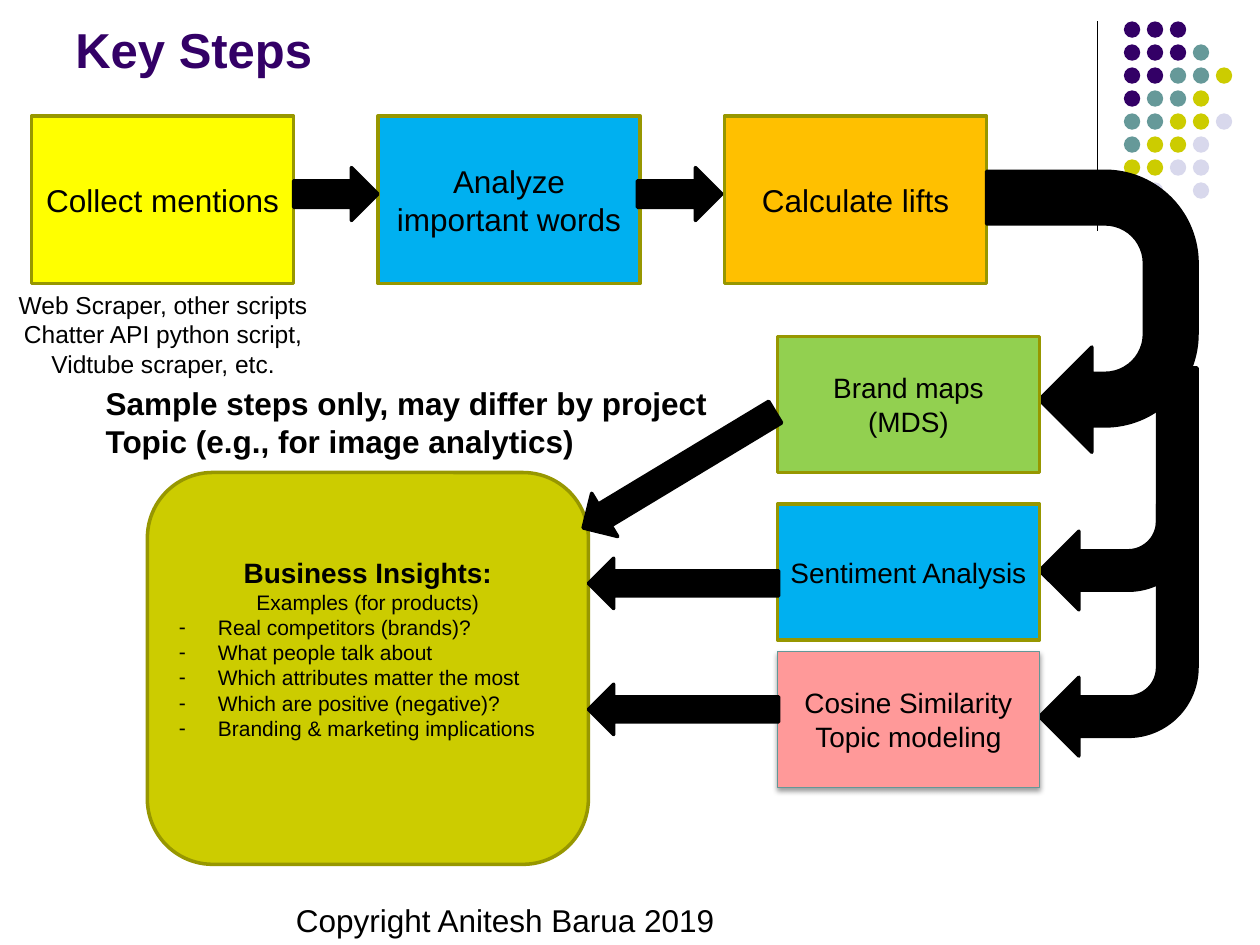
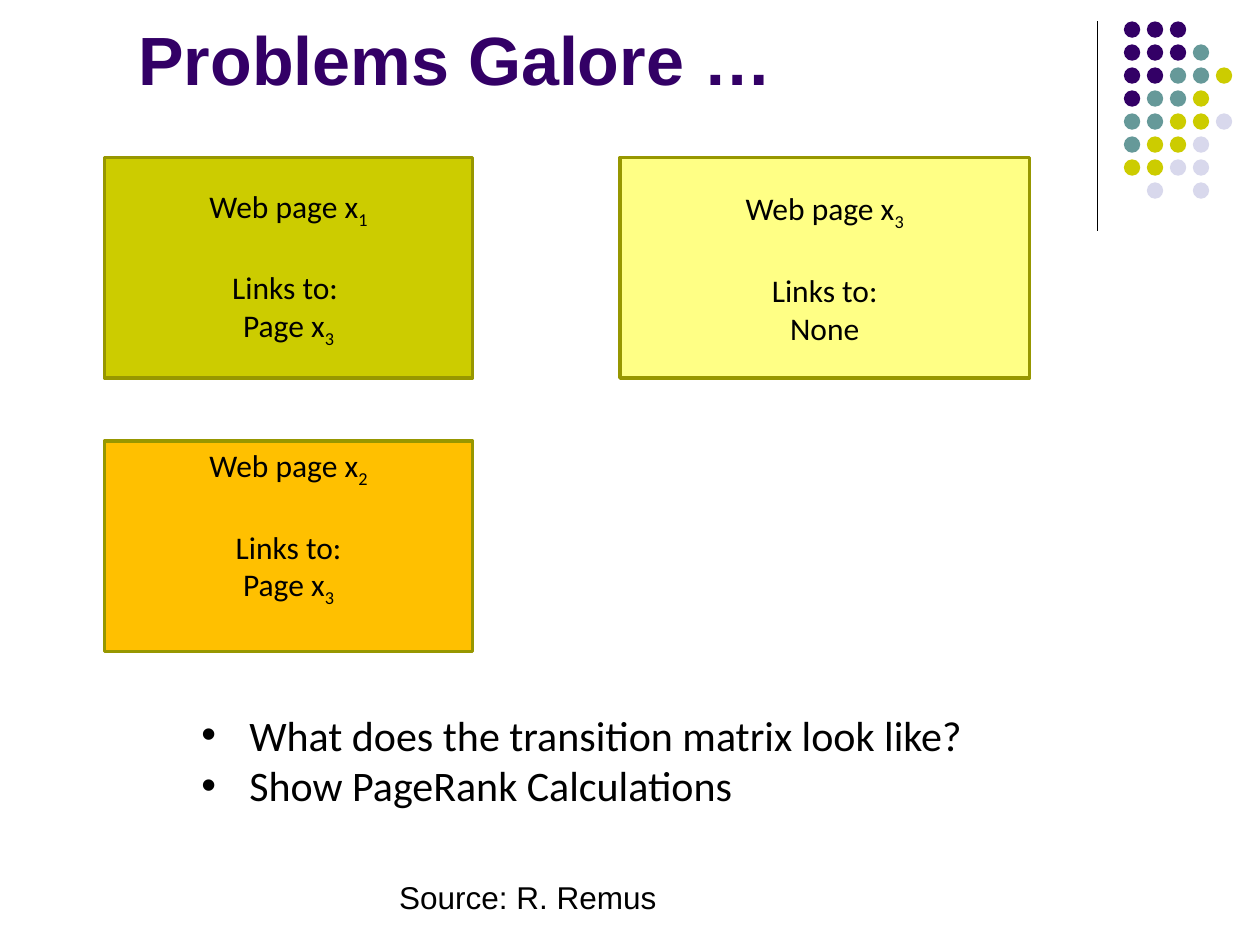
from lxml.etree import SubElement
from pptx import Presentation
from pptx.dml.color import RGBColor
from pptx.enum.shapes import MSO_CONNECTOR, MSO_SHAPE
from pptx.enum.text import MSO_ANCHOR, PP_ALIGN
from pptx.oxml.ns import qn
from pptx.util import Inches, Pt

# Shared colours
BLACK = "000000"
PURPLE = "330066"
TEAL = "669999"
OLIVE = "CCCC00"
LAVENDER = "D8D8EC"
OLIVE_EDGE = "979700"
SKY = "00B0F0"
AMBER = "FFC000"

# Corner dots, one letter per dot
DOT_COLOURS = {"P": PURPLE, "T": TEAL, "Y": OLIVE, "L": LAVENDER}
DOT_ROWS = ["PPP", "PPPT", "PPTTY", "PTTY", "TTYYL", "TYYL", "YYLL", " L L"]
DOT_PITCH = 0.73 / 4
DOT_SIZE = 0.13

# Text styles
BODY = {"name": "Arial", "size": Pt(18), "bold": False}
STEP = BODY
METHOD = {**BODY, "size": Pt(16)}
DETAIL = {**BODY, "size": Pt(12)}
STRONG = {**BODY, "bold": True}
PAGE = {**BODY, "name": "Calibri"}
QUESTION = {**PAGE, "size": Pt(24)}


def colour(hex_value):
    return RGBColor.from_string(hex_value)


def apply(target, formats):
    for attribute, value in formats.items():
        setattr(target, attribute, value)


def box_at(left, top, width, height):
    return [Inches(length) for length in (left, top, width, height)]


# Text
def add_bullet(paragraph, mark, indent):
    properties = paragraph._p.get_or_add_pPr()
    properties.set("marL", str(Inches(indent)))
    properties.set("indent", str(-Inches(indent)))
    SubElement(properties, qn("a:buFont")).set("typeface", "Arial")
    SubElement(properties, qn("a:buChar")).set("char", mark)


def write_line(frame, text, style, first=False, align=PP_ALIGN.CENTER,
               bullet=None, gap=0, ink=BLACK):
    """Add one paragraph; each underscore switches subscript on or off."""
    paragraph = frame.paragraphs[0] if first else frame.add_paragraph()
    paragraph.alignment = align
    if gap:
        paragraph.space_before = Pt(gap)
    if bullet:
        add_bullet(paragraph, *bullet)
    for index, part in enumerate(text.split("_")):
        run = paragraph.add_run()
        run.text = part
        apply(run.font, style)
        run.font.color.rgb = colour(ink)
        if index % 2:
            run._r.get_or_add_rPr().set("baseline", "-25000")


def write_lines(frame, lines, style, **options):
    for index, text in enumerate(lines):
        write_line(frame, text, style, first=index == 0, **options)


def add_label(slide, place, lines, style, **options):
    frame = slide.shapes.add_textbox(*box_at(*place)).text_frame
    frame.word_wrap = False
    write_lines(frame, lines, style, **{"align": PP_ALIGN.LEFT, **options})


def add_title(slide, left, bottom, text, size):
    frame = slide.shapes.add_textbox(*box_at(left, 0, 8.25, bottom)).text_frame
    apply(frame, {"word_wrap": True, "vertical_anchor": MSO_ANCHOR.BOTTOM})
    style = {**STRONG, "size": Pt(size)}
    write_line(frame, text, style, first=True, align=PP_ALIGN.LEFT, ink=PURPLE)


# Shapes
def add_figure(slide, kind, place, fill, edge=None, weight=2, turn=0):
    figure = slide.shapes.add_shape(kind, *box_at(*place))
    figure.shadow.inherit = False
    figure.rotation = turn
    figure.fill.solid()
    figure.fill.fore_color.rgb = colour(fill)
    if edge:
        figure.line.color.rgb = colour(edge)
        figure.line.width = Pt(weight)
    else:
        figure.line.fill.background()
    return figure


def add_arrow(slide, place, kind=MSO_SHAPE.RIGHT_ARROW, turn=0):
    add_figure(slide, kind, place, BLACK, BLACK, turn=turn)


def add_card(slide, place, fill, lines=(), style=STEP, kind=MSO_SHAPE.RECTANGLE,
             edge=OLIVE_EDGE, weight=2, lift=0):
    """Draw a filled box; lift raises its centred text by half that length."""
    card = add_figure(slide, kind, place, fill, edge, weight)
    apply(card.text_frame, {"word_wrap": True,
                            "vertical_anchor": MSO_ANCHOR.MIDDLE,
                            "margin_bottom": Inches(0.05 + lift)})
    write_lines(card.text_frame, lines, style)
    return card


def add_soft_shadow(card):
    effects = card._element.spPr.find(qn("a:effectLst"))
    shadow = SubElement(effects, qn("a:outerShdw"))
    values = {"blurRad": Pt(3.1), "dist": Pt(1.6), "dir": 90 * 60000, "rotWithShape": 0}
    for name, value in values.items():
        shadow.set(name, str(value))
    tint = SubElement(shadow, qn("a:srgbClr"))
    tint.set("val", BLACK)
    SubElement(tint, qn("a:alpha")).set("val", "38000")


# Decoration shared by every slide
def add_decorated_slide(deck):
    slide = deck.slides.add_slide(deck.slide_layouts[6])
    rule = slide.shapes.add_connector(
        MSO_CONNECTOR.STRAIGHT, Inches(8.71), Inches(0.17), Inches(8.71), Inches(1.83))
    rule.line.color.rgb = colour(BLACK)
    rule.line.width = Pt(0.75)
    SubElement(rule._element.spPr, qn("a:effectLst"))
    for row, letters in enumerate(DOT_ROWS):
        for column, letter in enumerate(letters):
            if letter in DOT_COLOURS:
                place = (8.92 + column * DOT_PITCH, 0.17 + row * DOT_PITCH,
                         DOT_SIZE, DOT_SIZE)
                add_figure(slide, MSO_SHAPE.OVAL, place, DOT_COLOURS[letter])
    return slide


def add_insights(slide):
    card = add_card(slide, (1.17, 3.75, 3.5, 3.11), OLIVE,
                    kind=MSO_SHAPE.ROUNDED_RECTANGLE, lift=0.32)
    frame = card.text_frame
    write_line(frame, "Business Insights:", {**METHOD, "bold": True}, first=True)
    write_line(frame, "Examples (for products)", DETAIL)
    for example in ("Real competitors (brands)?",
                    "What people talk about",
                    "Which attributes matter the most",
                    "Which are positive (negative)?",
                    "Branding & marketing implications"):
        write_line(frame, example, DETAIL, align=PP_ALIGN.LEFT, bullet=("-", 0.31))


def build_key_steps(deck):
    slide = add_decorated_slide(deck)
    add_title(slide, 0.5, 0.67, "Key Steps", 28)

    # Steps across the top
    steps = [("Collect mentions", "FFFF00"),
             ("Analyze important words", SKY),
             ("Calculate lifts", AMBER)]
    for index, (step, fill) in enumerate(steps):
        add_card(slide, (0.25 + index * 2.75, 0.92, 2.08, 1.33), fill, [step])
    for left in (2.33, 5.06):
        add_arrow(slide, (left, 1.33, 0.67, 0.42))
    add_label(slide, (0.04, 2.25, 2.51, 0.81),
              ["Web Scraper, other scripts", "Chatter API python script,",
               "Vidtube scraper, etc."],
              {**BODY, "size": Pt(14)}, align=PP_ALIGN.CENTER)

    # Lifts feed the three methods
    add_arrow(slide, (7.55, 1.64, 2.23, 1.67), MSO_SHAPE.U_TURN_ARROW, 90)
    add_card(slide, (6.17, 2.67, 2.08, 1.08), "92D050", ["Brand maps", "(MDS)"], METHOD)
    for top, height in ((2.92, 1.92), (4, 2)):
        add_arrow(slide, (8.25, top, 1.25, height), MSO_SHAPE.BENT_ARROW, 180)
    add_card(slide, (6.17, 4, 2.08, 1.08), SKY, ["Sentiment Analysis"], METHOD)

    # Methods lead to insights
    add_insights(slide)
    add_arrow(slide, (4.5, 3.53, 1.78, 0.4), turn=148.9)
    add_arrow(slide, (4.67, 4.43, 1.51, 0.4), turn=180)
    similarity = add_card(slide, (6.17, 5.17, 2.08, 1.08), "FF9999",
                          ["Cosine Similarity", "Topic modeling"], METHOD,
                          edge="639797", weight=0.75)
    add_soft_shadow(similarity)
    add_arrow(slide, (4.67, 5.43, 1.51, 0.4), turn=180)

    # Notes on the slide
    add_label(slide, (2.25, 7.1, 3.55, 0.4), ["Copyright Anitesh Barua 2019"], BODY)
    add_label(slide, (0.74, 3, 5.09, 0.71),
              ["Sample steps only, may differ by project",
               "Topic (e.g., for image analytics)"], STRONG)


def add_web_page(slide, place, fill, number, links_heading, target, lift=0):
    card = add_card(slide, place, fill, [f"Web page x_{number}"], PAGE, lift=lift)
    write_line(card.text_frame, links_heading, PAGE, gap=22)
    write_line(card.text_frame, target, PAGE)


def build_problems(deck):
    slide = add_decorated_slide(deck)
    add_title(slide, 1, 0.84, "Problems Galore …", 39)

    # Web pages and their links
    add_web_page(slide, (0.83, 1.25, 2.92, 1.75), OLIVE, 1, "Links to: ", "Page x_3")
    add_web_page(slide, (0.83, 3.5, 2.92, 1.67), AMBER, 2, "Links to:", "Page x_3", lift=0.3)
    add_web_page(slide, (4.92, 1.25, 3.25, 1.75), "FFFF85", 3, "Links to:", "None")

    # Questions and source
    add_label(slide, (1.5, 5.58, 6.29, 0.91),
              ["What does the transition matrix look like?",
               "Show PageRank Calculations"], QUESTION, bullet=("•", 0.38))
    add_label(slide, (3.07, 6.92, 2.26, 0.4), ["Source: R. Remus"], BODY)


def main():
    deck = Presentation()
    apply(deck, {"slide_width": Inches(10), "slide_height": Inches(7.5)})
    build_key_steps(deck)
    build_problems(deck)
    deck.save("out.pptx")


if __name__ == "__main__":
    main()
